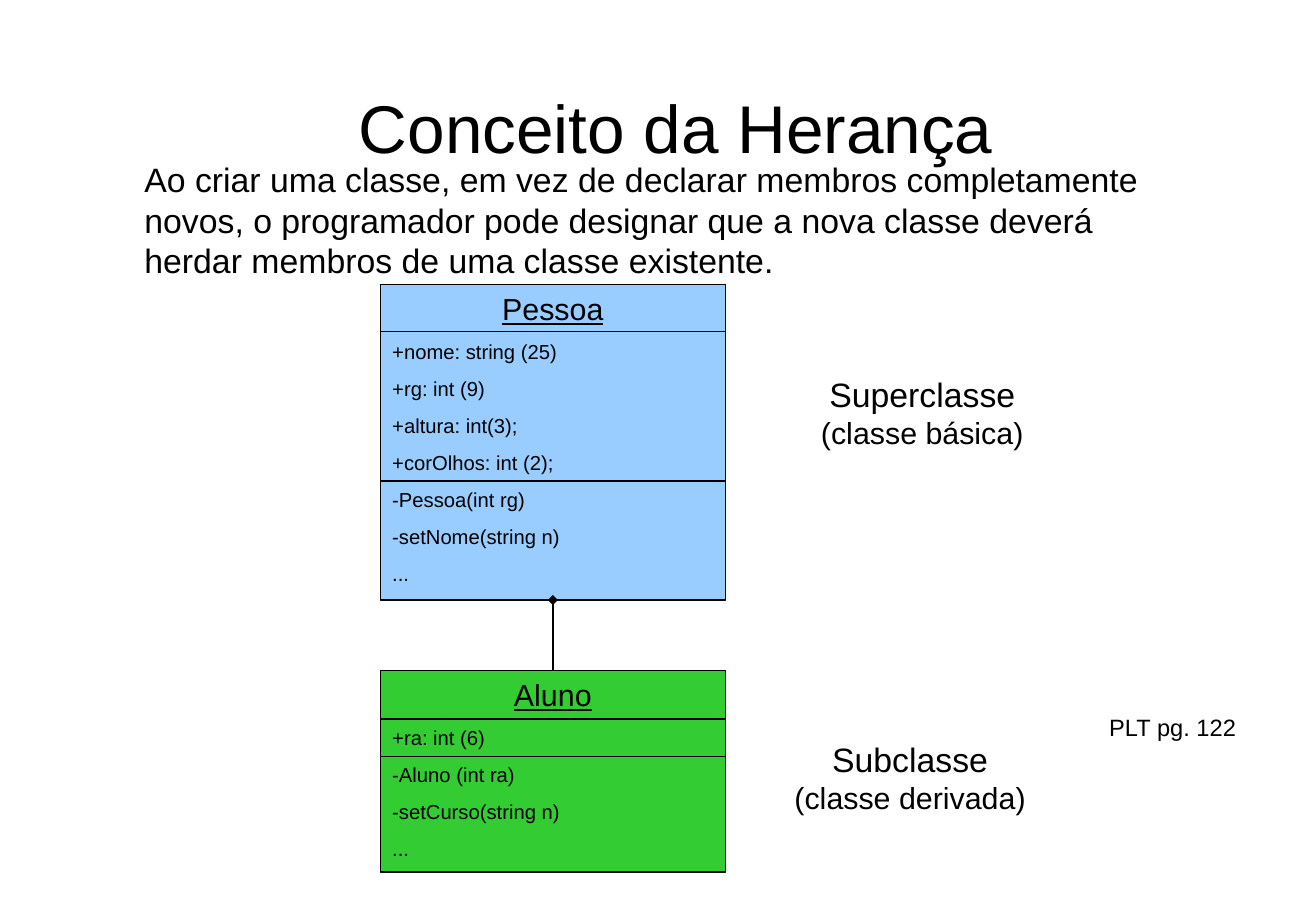
import pptx
import pptx.util
import pptx.dml.color
import pptx.enum.shapes
import pptx.enum.text
import pptx.oxml
import pptx.oxml.ns

Inches, Pt = pptx.util.Inches, pptx.util.Pt
ALIGN, ANCHOR = pptx.enum.text.PP_ALIGN, pptx.enum.text.MSO_ANCHOR
STRAIGHT = pptx.enum.shapes.MSO_CONNECTOR.STRAIGHT
BLACK = "000000"


def color(hex_string):
    return pptx.dml.color.RGBColor.from_string(hex_string)


def write(sp, lines, align=ALIGN.LEFT, anchor=ANCHOR.TOP, wrap=True):
    """Fill a shape with (text, size, space before) lines."""
    tf = sp.text_frame
    tf.word_wrap = wrap
    tf.vertical_anchor = anchor
    for i, (text, size, before) in enumerate(lines):
        p = tf.add_paragraph() if i else tf.paragraphs[0]
        p.alignment = align
        p.space_before = Pt(before)
        r = p.add_run()
        r.text = text
        r.font.name = "Arial"
        r.font.size = Pt(size)
        r.font.color.rgb = color(BLACK)


prs = pptx.Presentation()
prs.slide_width, prs.slide_height = Inches(10.83), Inches(7.5)
s = prs.slides.add_slide(prs.slide_layouts[5])

# Title
title = s.shapes.title
title.left, title.top = Inches(0.98), Inches(0.62)
title.width, title.height = Inches(9.16), Inches(0.85)
write(title, [("Conceito da Herança", 40, 0)], ALIGN.CENTER, ANCHOR.MIDDLE)

# Definition
intro = s.shapes.add_textbox(Inches(1.09), Inches(1.26), Inches(8.66), Inches(1.1))
write(intro, [("Ao criar uma classe, em vez de declarar membros completamente novos, "
               "o programador pode designar que a nova classe deverá herdar membros "
               "de uma classe existente.", 20, 12.5)])

# Class boxes: name, fill, top, height, divider offsets, members
classes = [
    ("Pessoa", "99CCFF", 2.34, 2.6, (0.39, 1.62),
     ["+nome: string (25)", "+rg: int (9)", "+altura: int(3);", "+corOlhos: int (2);",
      "-Pessoa(int rg)", "-setNome(string n)", "..."]),
    ("Aluno", "33CC33", 5.52, 1.66, (0.4, 0.71),
     ["+ra: int (6)", "-Aluno (int ra)", "-setCurso(string n)", "..."]),
]
box_left, box_width = 3.13, 2.84
boxes, lines = [], []
for name, fill, top, height, dividers, members in classes:
    sp = s.shapes.add_shape(pptx.enum.shapes.MSO_SHAPE.RECTANGLE, Inches(box_left),
                            Inches(top), Inches(box_width), Inches(height))
    sp.shadow.inherit = False
    sp.fill.solid()
    sp.fill.fore_color.rgb = color(fill)
    sp.line.color.rgb = color(BLACK)
    sp.line.width = Pt(0.75)
    write(sp, [(name, 18, 11.2)] + [(member, 12, 7.5) for member in members])
    heading = sp.text_frame.paragraphs[0]
    heading.alignment = ALIGN.CENTER
    heading.runs[0].font.underline = True
    boxes.append(sp)
    for offset in dividers:
        y = Inches(top + offset)
        lines.append(s.shapes.add_connector(STRAIGHT, Inches(box_left), y,
                                            Inches(box_left + box_width), y))

# Link from subclass to superclass
superclass, subclass = boxes
link = s.shapes.add_connector(STRAIGHT, 0, 0, 0, 0)
link.begin_connect(subclass, 0)
link.end_connect(superclass, 2)
lines.append(link)

for line in lines:
    line.line.color.rgb = color(BLACK)
    line.line.width = Pt(0.75)
    line._element.spPr.append(pptx.oxml.parse_xml(
        "<a:effectLst %s/>" % pptx.oxml.ns.nsdecls("a")))
link.line._get_or_add_ln().append(pptx.oxml.parse_xml(
    '<a:tailEnd %s type="diamond"/>' % pptx.oxml.ns.nsdecls("a")))

# Side labels and page reference
labels = [
    (6.65, 3.03, 1.88, 0.74, ALIGN.CENTER, [("Superclasse", 20, 0), ("(classe básica)", 18, 0)]),
    (6.43, 6.03, 2.12, 0.74, ALIGN.CENTER, [("Subclasse", 20, 0), ("(classe derivada)", 18, 0)]),
    (9.03, 5.82, 1.25, 0.34, ALIGN.LEFT, [("PLT pg. 122", 14, 0)]),
]
for left, top, width, height, align, text in labels:
    sp = s.shapes.add_textbox(Inches(left), Inches(top), Inches(width), Inches(height))
    write(sp, text, align, wrap=False)

prs.save("out.pptx")
